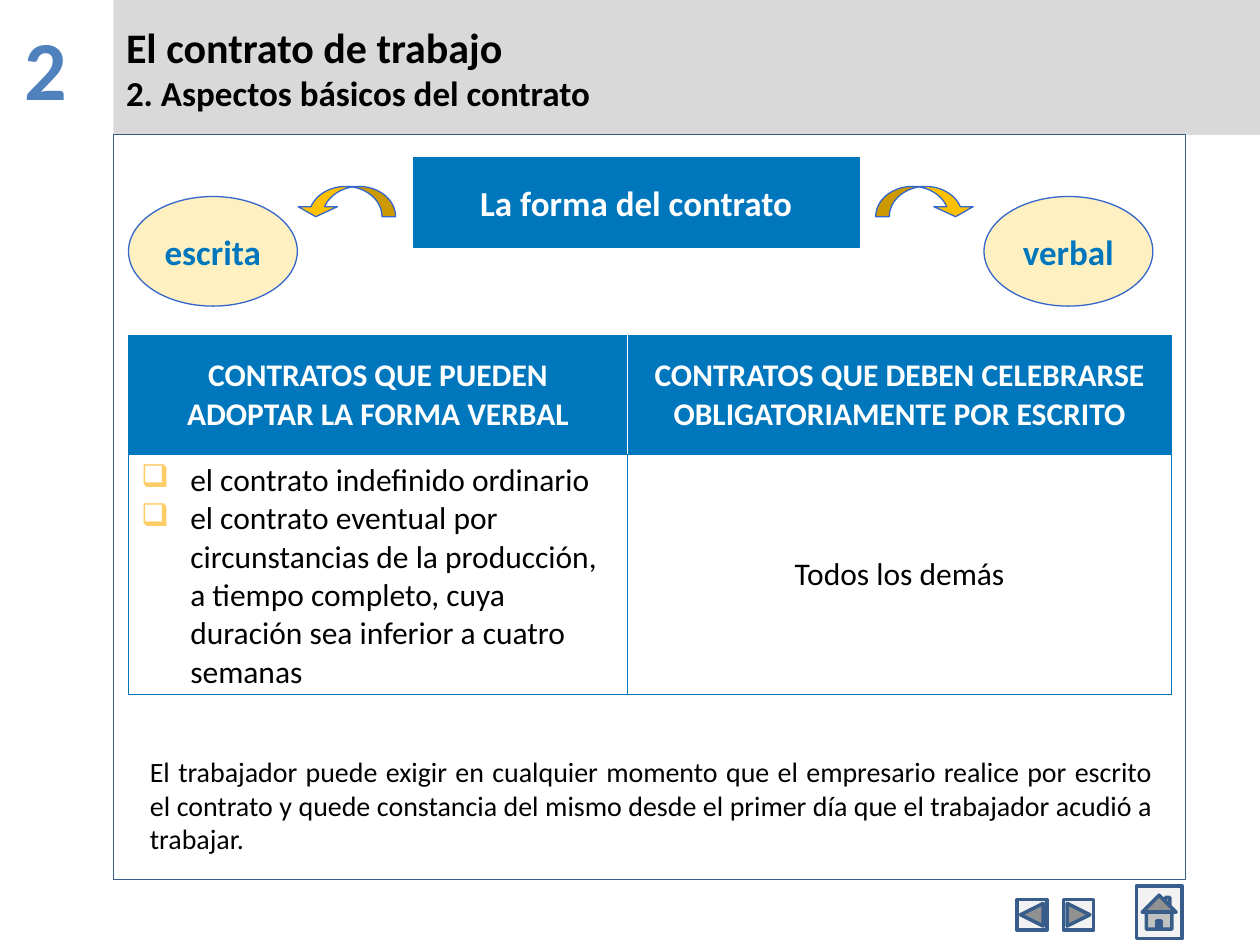
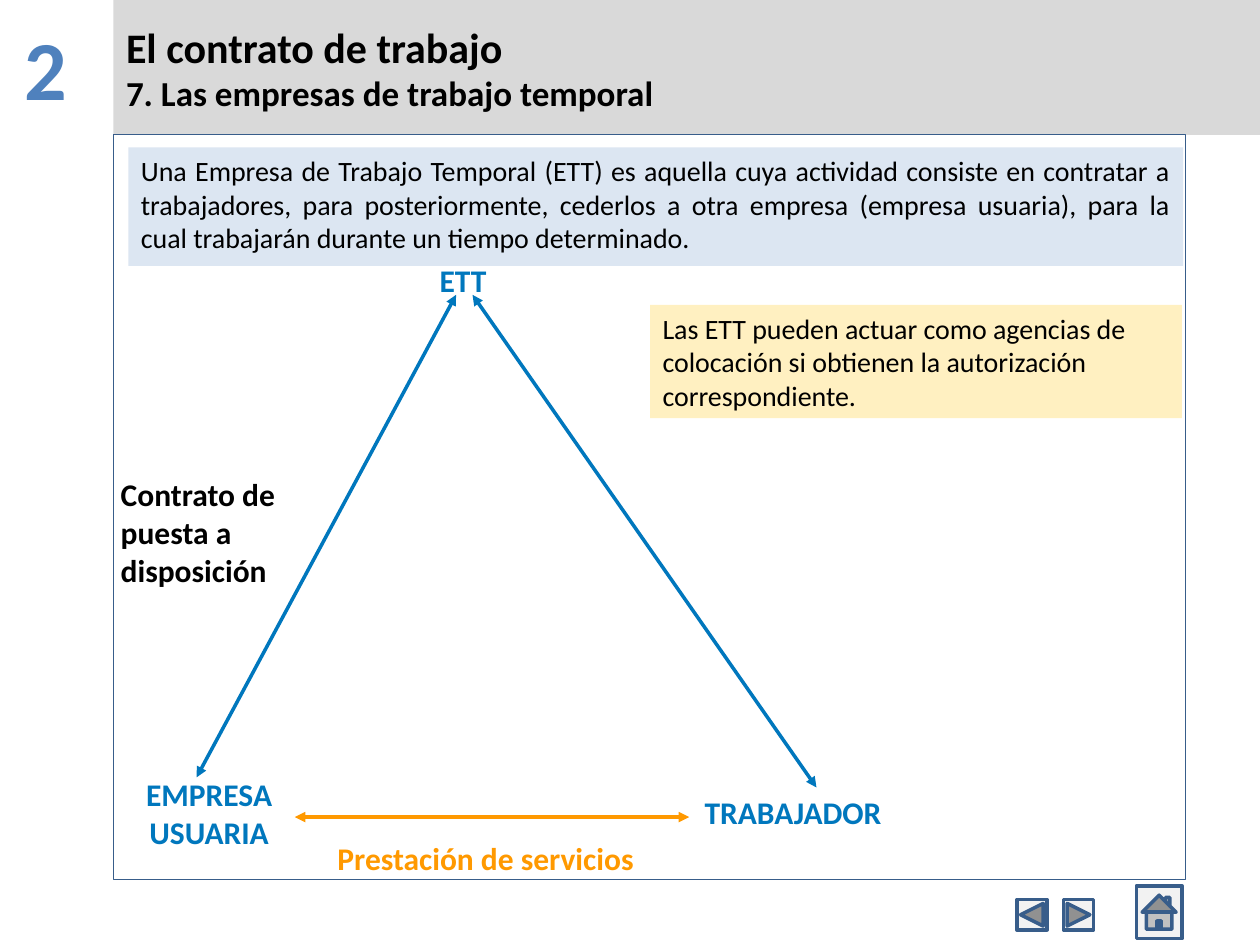
from lxml.etree import SubElement
from pptx import Presentation
from pptx.dml.color import RGBColor
from pptx.enum.shapes import MSO_CONNECTOR, MSO_SHAPE
from pptx.enum.text import MSO_ANCHOR, MSO_AUTO_SIZE, PP_ALIGN
from pptx.oxml.ns import qn
from pptx.util import Inches, Pt

BLACK = RGBColor(0x00, 0x00, 0x00)
WHITE = RGBColor(0xFF, 0xFF, 0xFF)
BAND_GREY = RGBColor(0xD9, 0xD9, 0xD9)
BUTTON_GREY = RGBColor(0xF2, 0xF2, 0xF2)
FRAME_BLUE = RGBColor(0x38, 0x5D, 0x8A)
NUMBER_BLUE = RGBColor(0x4F, 0x81, 0xBD)
STRONG_BLUE = RGBColor(0x00, 0x77, 0xBD)
OUTLINE_BLUE = RGBColor(0x33, 0x66, 0xCC)
PALE_BLUE = RGBColor(0xDC, 0xE6, 0xF2)
CREAM = RGBColor(0xFF, 0xF0, 0xC1)
GOLD = RGBColor(0xFF, 0xC0, 0x00)
ORANGE = RGBColor(0xFF, 0x99, 0x00)
BULLET_YELLOW = RGBColor(0xFF, 0xCC, 0x66)

FONT = "Calibri"
COLUMNS, ROWS = 100, 75
THIN, THICK, HAIRLINE = Pt(0.75), Pt(2), Pt(0.45)


def write(frame, *texts, sizes=(18,), color=BLACK, bold=False,
          align=PP_ALIGN.LEFT, bullet=None):
    """Put one paragraph per text; the last size serves the remaining ones."""
    for index, text in enumerate(texts):
        para = frame.paragraphs[0] if index == 0 else frame.add_paragraph()
        para.alignment = align
        if bullet:
            add_bullet(para, bullet)
        span = para.add_run()
        span.text = text
        span.font.name = FONT
        span.font.size = Pt(sizes[min(index, len(sizes) - 1)])
        span.font.bold = bold
        span.font.color.rgb = color


def add_bullet(para, mark):
    properties = para._p.get_or_add_pPr()
    indent = Inches(0.39)
    properties.set("marL", str(indent))
    properties.set("indent", str(-indent))
    color = SubElement(properties, qn("a:buClr"))
    SubElement(color, qn("a:srgbClr"), val=str(BULLET_YELLOW))
    SubElement(properties, qn("a:buChar"), char=mark)


def set_borders(cell, **colors):
    """Draw the four sides of a cell; sides not named are strong blue."""
    properties = cell._tc.get_or_add_tcPr()
    for position, side in enumerate("LRTB"):
        line = SubElement(properties, qn(f"a:ln{side}"), w=str(HAIRLINE))
        fill = SubElement(line, qn("a:solidFill"))
        SubElement(fill, qn("a:srgbClr"), val=str(colors.get(side, STRONG_BLUE)))
        properties.insert(position, line)


class ContractDeck:
    def __init__(self):
        self.deck = Presentation()
        self.deck.slide_width, self.deck.slide_height = Inches(10), Inches(7.5)
        self.page = None

    def across(self, columns):
        return round(self.deck.slide_width * columns / COLUMNS)

    def down(self, rows):
        return round(self.deck.slide_height * rows / ROWS)

    def area(self, left, top, width, height):
        return (self.across(left), self.down(top),
                self.across(width), self.down(height))

    def start_page(self, subtitle):
        self.page = self.deck.slides.add_slide(self.deck.slide_layouts[5])
        self.heading("El contrato de trabajo", subtitle)
        self.text((0, 0.8, 7.3, 9.2), "2", anchor=MSO_ANCHOR.TOP, sizes=(48,),
                  color=NUMBER_BLUE, bold=True, align=PP_ALIGN.CENTER)
        self.shape(MSO_SHAPE.RECTANGLE, (9, 10.7, 85.1, 59.1), line=FRAME_BLUE)
        buttons = (
            (MSO_SHAPE.ACTION_BUTTON_BACK_OR_PREVIOUS, (80.7, 71.4, 2.4, 2.4)),
            (MSO_SHAPE.ACTION_BUTTON_FORWARD_OR_NEXT, (84.4, 71.4, 2.4, 2.4)),
            (MSO_SHAPE.ACTION_BUTTON_HOME, (90.2, 70.3, 3.6, 4.2)),
        )
        for kind, place in buttons:
            self.shape(kind, place, fill=BUTTON_GREY, line=FRAME_BLUE, width=THICK)

    def heading(self, *lines):
        title = self.page.shapes.title
        title.left, title.top, title.width, title.height = self.area(9, 0, 91, 10.7)
        title.fill.solid()
        title.fill.fore_color.rgb = BAND_GREY
        frame = title.text_frame
        frame.auto_size = MSO_AUTO_SIZE.NONE
        frame.vertical_anchor = MSO_ANCHOR.MIDDLE
        write(frame, *lines, sizes=(24, 20), bold=True)

    def shape(self, kind, place, fill=None, line=None, width=THIN):
        shape = self.page.shapes.add_shape(kind, *self.area(*place))
        shape.shadow.inherit = False
        if fill is None:
            shape.fill.background()
        else:
            shape.fill.solid()
            shape.fill.fore_color.rgb = fill
        if line is None:
            shape.line.fill.background()
        else:
            shape.line.color.rgb = line
            shape.line.width = width
        return shape

    def label(self, kind, place, text, fill, line=None, wrap=True,
              anchor=MSO_ANCHOR.MIDDLE, **style):
        """Add a filled shape that carries text."""
        frame = self.shape(kind, place, fill, line).text_frame
        frame.word_wrap = wrap
        frame.vertical_anchor = anchor
        write(frame, text, **style)

    def text(self, place, text, anchor=MSO_ANCHOR.MIDDLE, **style):
        frame = self.page.shapes.add_textbox(*self.area(*place)).text_frame
        frame.word_wrap = True
        frame.vertical_anchor = anchor
        write(frame, text, **style)
        return frame

    def curved_arrow(self, place, to_left=False):
        arrow = self.shape(MSO_SHAPE.CURVED_DOWN_ARROW, place, GOLD, OUTLINE_BLUE)
        for index, value in enumerate((0.45, 1.3, 0.33)):
            arrow.adjustments[index] = value
        if to_left:
            arrow._element.spPr.find(qn("a:xfrm")).set("flipH", "1")

    def double_arrow(self, start, end, color):
        arrow = self.page.shapes.add_connector(
            MSO_CONNECTOR.STRAIGHT, self.across(start[0]), self.down(start[1]),
            self.across(end[0]), self.down(end[1]))
        arrow.line.color.rgb = color
        arrow.line.width = THICK
        line = arrow.line._get_or_add_ln()
        for tip in ("a:headEnd", "a:tailEnd"):
            SubElement(line, qn(tip), type="triangle")
        SubElement(arrow._element.spPr, qn("a:effectLst"))

    def table(self, place, widths, heights, headers):
        """Add a table with its header row and return the body cells."""
        table = self.page.shapes.add_table(
            len(heights), len(widths), *self.area(*place)).table
        table.first_row = table.horz_banding = False
        for column, width in zip(table.columns, widths):
            column.width = self.across(width)
        for row, height in zip(table.rows, heights):
            row.height = self.down(height)
        for cell in table.iter_cells():
            cell.vertical_anchor = MSO_ANCHOR.MIDDLE
            cell.fill.solid()
            cell.fill.fore_color.rgb = WHITE
        header_cells, body_cells = (list(row.cells) for row in table.rows)
        for cell, header, inner_side in zip(header_cells, headers, "RL"):
            cell.fill.fore_color.rgb = STRONG_BLUE
            set_borders(cell, **{inner_side: WHITE})
            write(cell.text_frame, header, color=WHITE, bold=True,
                  align=PP_ALIGN.CENTER)
        for cell in body_cells:
            set_borders(cell)
        return body_cells


def build_contract_form(deck):
    deck.start_page("2. Aspectos básicos del contrato")
    centered = dict(sizes=(20,), bold=True, align=PP_ALIGN.CENTER)
    deck.label(MSO_SHAPE.RECTANGLE, (32.8, 12.5, 35.4, 7.1), "La forma del contrato",
               STRONG_BLUE, STRONG_BLUE, color=WHITE, **centered)
    for form, left, arrow_left in (("escrita", 10.2, 23.5), ("verbal", 78.1, 69.5)):
        deck.curved_arrow((arrow_left, 14.8, 7.9, 2.4), to_left=arrow_left < left + 20
                          and arrow_left > left)
        deck.label(MSO_SHAPE.OVAL, (left, 15.6, 13.4, 8.7), form, CREAM,
                   OUTLINE_BLUE, wrap=False, color=STRONG_BLUE, **centered)
    verbal, written = deck.table(
        (10.2, 26.6, 82.8, 28.5), widths=(39.6, 43.2), heights=(9.5, 19),
        headers=("CONTRATOS QUE PUEDEN ADOPTAR LA FORMA VERBAL",
                 "CONTRATOS QUE DEBEN CELEBRARSE OBLIGATORIAMENTE POR ESCRITO"))
    write(verbal.text_frame, "el contrato indefinido ordinario",
          "el contrato eventual por circunstancias de la producción, a tiempo "
          "completo, cuya duración sea inferior a cuatro semanas", bullet="❑")
    write(written.text_frame, "Todos los demás", align=PP_ALIGN.CENTER)
    note = deck.text(
        (11.7, 58, 80, 11.8),
        "El trabajador puede exigir en cualquier momento que el empresario realice "
        "por escrito el contrato y quede constancia del mismo desde el primer día "
        "que el trabajador acudió a trabajar.", sizes=(16,), align=PP_ALIGN.JUSTIFY)
    note.margin_left = note.margin_right = Inches(0.02)


def build_temporary_agencies(deck):
    deck.start_page("7. Las empresas de trabajo temporal")
    plain = dict(anchor=MSO_ANCHOR.TOP, sizes=(16,))
    deck.label(
        MSO_SHAPE.RECTANGLE, (10.2, 11.7, 83.7, 9.4),
        "Una Empresa de Trabajo Temporal (ETT) es aquella cuya actividad consiste en "
        "contratar a trabajadores, para posteriormente, cederlos a otra empresa "
        "(empresa usuaria), para la cual trabajarán durante un tiempo determinado.",
        PALE_BLUE, align=PP_ALIGN.JUSTIFY, **plain)
    deck.label(
        MSO_SHAPE.RECTANGLE, (51.6, 24.2, 42.2, 9),
        "Las ETT pueden actuar como agencias de colocación si obtienen la "
        "autorización correspondiente.", CREAM, **plain)
    parties = (
        ("ETT", (31.3, 19.5, 10.9, 5.5)),
        ("TRABAJADOR", (53.1, 61.7, 19.7, 5.5)),
        ("EMPRESA USUARIA", (7.8, 61, 17.6, 7)),
    )
    for party, place in parties:
        deck.text(place, party, color=STRONG_BLUE, bold=True, align=PP_ALIGN.CENTER)
    deck.text((8.6, 37.5, 15.9, 9.4), "Contrato de puesta a disposición", bold=True)
    deck.text((25.8, 65.6, 32.3, 5), "Prestación de servicios", color=ORANGE, bold=True)
    deck.double_arrow((23.4, 64.85), (54.7, 64.85), ORANGE)
    deck.double_arrow((15.6, 61.7), (36.2, 23.4), STRONG_BLUE)
    deck.double_arrow((64.8, 62.5), (37.5, 23.4), STRONG_BLUE)


def main():
    contract = ContractDeck()
    build_contract_form(contract)
    build_temporary_agencies(contract)
    contract.deck.save("out.pptx")


if __name__ == "__main__":
    main()
